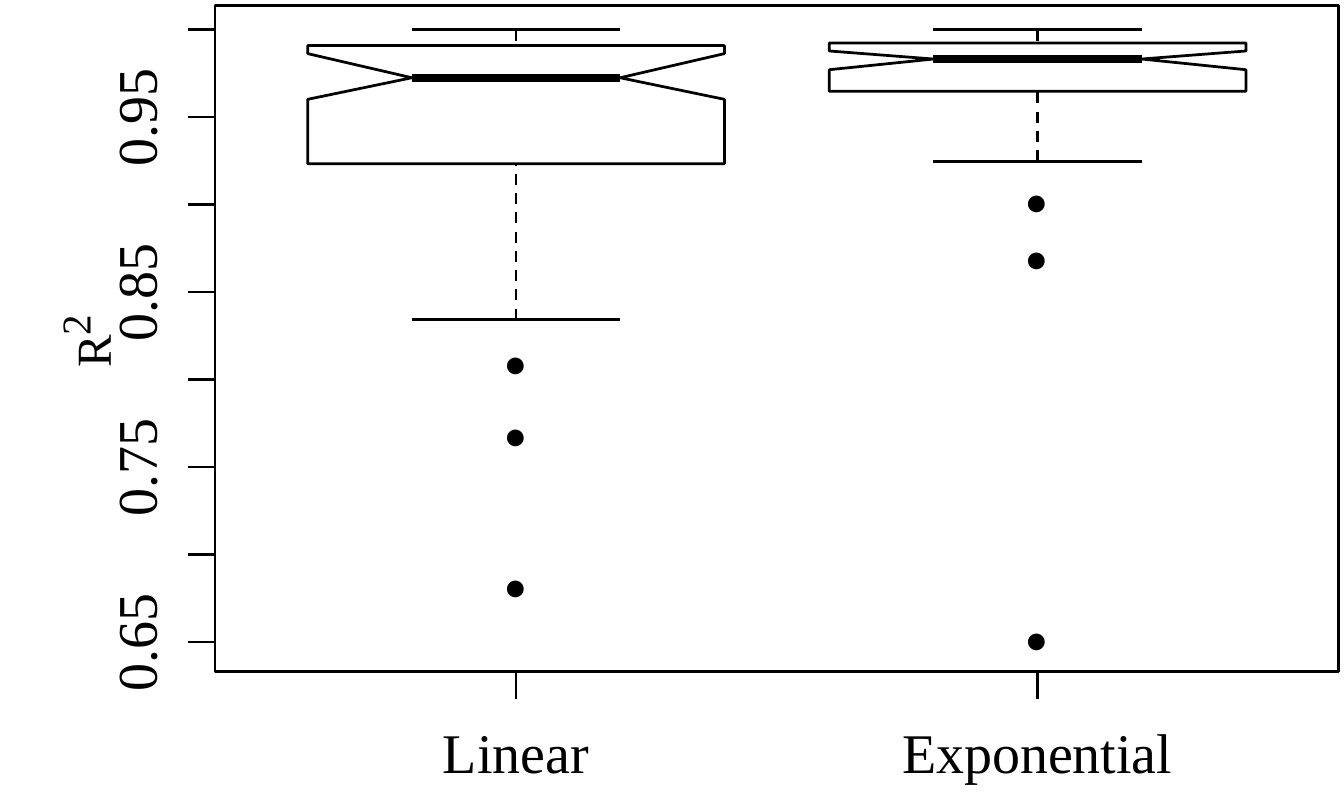
"""Draw notched box plots of R² for linear and exponential fits."""
from dataclasses import dataclass

from lxml import etree
from pptx import Presentation
from pptx import util as u
from pptx.dml import color
from pptx.enum import dml, shapes, text
from pptx.oxml import ns


@dataclass(frozen=True)
class Theme:
    ink: color.RGBColor = color.RGBColor(0, 0, 0)
    font: str = "Times New Roman"
    dot_font: str = "Noto Sans CJK JP"
    label: float = 15
    dot: float = 5
    symbol: float = 22.5
    exponent: float = 11
    thin: float = 0.75
    median: float = 2.25


@dataclass(frozen=True)
class BoxPlot:
    name: str
    x: float
    high: float
    top: float
    notch_top: float
    median: float
    notch_bottom: float
    bottom: float
    low: float
    outliers: tuple


THEME = Theme()
PLOTS = (
    BoxPlot("Linear", 1.92, 0.11, 0.17, 0.2, 0.29, 0.37, 0.61, 1.19, (1.37, 1.64, 2.2)),
    BoxPlot("Exponential", 3.86, 0.11, 0.16, 0.19, 0.22, 0.26, 0.34, 0.6, (0.77, 0.98, 2.4)),
)
BOX_WIDTH = 1.55
LEFT, TOP, RIGHT, BOTTOM = 0.8, 0.02, 4.98, 2.5
TICK = 0.1
AXIS_LOW, AXIS_HIGH, STEPS = 2.39, 0.11, 7


def style_line(line, width=THEME.thin, dashed=False):
    line.color.rgb = THEME.ink
    line.width = u.Pt(width)
    if dashed:
        line.dash_style = dml.MSO_LINE.DASH


def add_line(page, x1, y1, x2, y2, width=THEME.thin, dashed=False):
    ends = [u.Inches(value) for value in (x1, y1, x2, y2)]
    line = page.shapes.add_connector(shapes.MSO_CONNECTOR.STRAIGHT, *ends)
    style_line(line.line, width, dashed)
    etree.SubElement(line._element.spPr, ns.qn("a:effectLst"))


def add_text(page, x, y, width, height, words, size, font=THEME.font, upright=True):
    """Add one centred line of text around x, starting at y, and return its paragraph."""
    box = page.shapes.add_textbox(*(u.Inches(v) for v in (x - width / 2, y, width, height)))
    frame = box.text_frame
    frame.margin_left = frame.margin_right = frame.margin_top = frame.margin_bottom = 0
    frame.word_wrap = True
    if not upright:
        frame._txBody.bodyPr.set("vert", "vert270")
    para = frame.paragraphs[0]
    para.alignment = text.PP_ALIGN.CENTER
    para.font.name = font
    para.font.size = u.Pt(size)
    para.font.color.rgb = THEME.ink
    para.add_run().text = words
    return para


def add_dot(page, x, y):
    para = add_text(page, x, y - 0.05, 0.1, 0.1, "●", THEME.dot, THEME.dot_font)
    properties = para.runs[0]._r.get_or_add_rPr()
    etree.SubElement(properties, ns.qn("a:ea"), typeface=THEME.dot_font)


def add_notched_box(page, plot):
    left, right = plot.x - BOX_WIDTH / 2, plot.x + BOX_WIDTH / 2
    waist_left, waist_right = plot.x - BOX_WIDTH / 4, plot.x + BOX_WIDTH / 4
    corners = [
        (left, plot.bottom), (right, plot.bottom), (right, plot.notch_bottom),
        (waist_right, plot.median), (right, plot.notch_top), (right, plot.top),
        (left, plot.top), (left, plot.notch_top), (waist_left, plot.median),
        (left, plot.notch_bottom),
    ]
    points = [(u.Inches(x), u.Inches(y)) for x, y in corners]
    builder = page.shapes.build_freeform(*points[0])
    builder.add_line_segments(points[1:], close=True)
    outline = builder.convert_to_shape()
    outline.shadow.inherit = False
    outline.fill.background()
    style_line(outline.line)


def add_box_plot(page, plot):
    start, end = plot.x - BOX_WIDTH / 4, plot.x + BOX_WIDTH / 4
    add_line(page, start, plot.median, end, plot.median, THEME.median)
    for cap, edge in ((plot.low, plot.bottom), (plot.high, plot.top)):
        add_line(page, plot.x, cap, plot.x, edge, dashed=True)
        add_line(page, start, cap, end, cap)
    add_notched_box(page, plot)
    for y in plot.outliers:
        add_dot(page, plot.x, y)


def add_frame(page):
    sides = [u.Inches(v) for v in (LEFT, TOP, RIGHT - LEFT, BOTTOM - TOP)]
    frame = page.shapes.add_shape(shapes.MSO_SHAPE.RECTANGLE, *sides)
    frame.shadow.inherit = False
    frame.fill.background()
    style_line(frame.line)


def add_category_axis(page):
    add_line(page, PLOTS[0].x, BOTTOM, PLOTS[-1].x, BOTTOM)
    for plot in PLOTS:
        add_line(page, plot.x, BOTTOM, plot.x, BOTTOM + TICK)
        add_text(page, plot.x, 2.67, 1.2, 0.25, plot.name, THEME.label)


def add_value_axis(page):
    add_line(page, LEFT, AXIS_LOW, LEFT, AXIS_HIGH)
    for step in range(STEPS + 1):
        y = AXIS_LOW + (AXIS_HIGH - AXIS_LOW) * step / STEPS
        add_line(page, LEFT, y, LEFT - TICK, y)
        if step % 2 == 0:
            value = f"{0.65 + 0.05 * step:.2f}"
            add_text(page, 0.5, y - 0.25, 0.25, 0.5, value, THEME.label, upright=False)


def add_axis_title(page):
    para = add_text(page, 0.15, 1.07, 0.25, 0.4, "R", THEME.symbol, upright=False)
    para.runs[0]._r.get_or_add_rPr().set("baseline", "-24000")
    exponent = para.add_run()
    exponent.text = "2"
    exponent.font.size = u.Pt(THEME.exponent)


def main():
    deck = Presentation()
    deck.slide_width, deck.slide_height = u.Inches(5), u.Inches(3)
    page = deck.slides.add_slide(deck.slide_layouts[6])
    for plot in PLOTS:
        add_box_plot(page, plot)
    add_category_axis(page)
    add_value_axis(page)
    add_frame(page)
    add_axis_title(page)
    deck.save("out.pptx")


if __name__ == "__main__":
    main()
